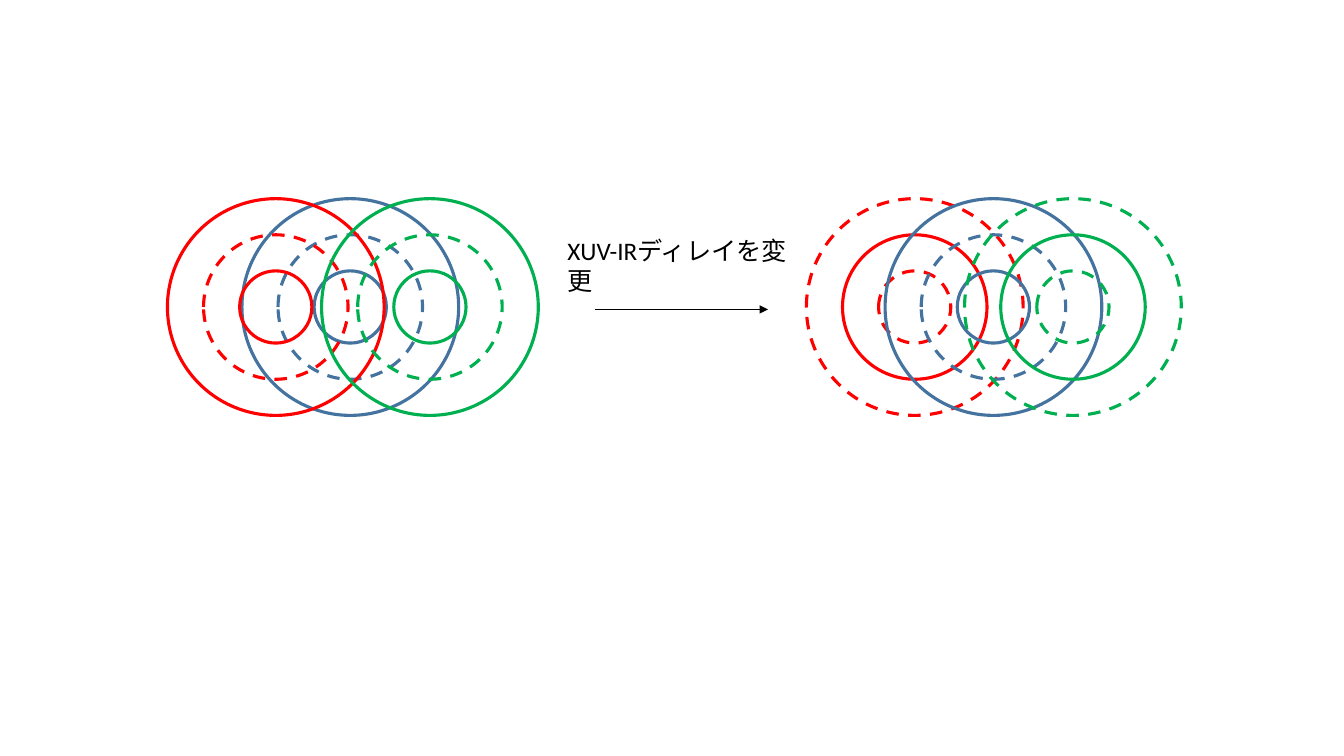
from pptx import Presentation
from pptx.dml.color import RGBColor
from pptx.enum.dml import MSO_LINE_DASH_STYLE as Dash
from pptx.enum.shapes import MSO_CONNECTOR as Link, MSO_SHAPE as Shape
from pptx.enum.text import MSO_AUTO_SIZE as Fit
from pptx.oxml.ns import qn
from pptx.util import Pt
from lxml import etree

RED = RGBColor(0xFF, 0x00, 0x00)
BLUE = RGBColor(0x43, 0x73, 0x9E)
GREEN = RGBColor(0x00, 0xB0, 0x50)
BLACK = RGBColor(0x00, 0x00, 0x00)

MID = 219.3   # height of all wave centres
STEP = 25.8   # radius gained from one ring to the next
CREST = (False, True, False)   # is each ring dashed, from the inside out
TROUGH = (True, False, True)

WAVES = [
    (250.2, BLUE, CREST),
    (197, RED, CREST),
    (307.1, GREEN, CREST),
    (653.4, RED, TROUGH),
    (709.6, BLUE, CREST),
    (766.4, GREEN, TROUGH),
]


def add_wave(slide, x, color, dashes):
    """Group evenly spaced rings around one centre."""
    group = slide.shapes.add_group_shape()
    for n, dashed in enumerate(dashes, 1):
        r = n * STEP
        ring = group.shapes.add_shape(
            Shape.OVAL, Pt(x - r), Pt(MID - r), Pt(2 * r), Pt(2 * r))
        ring.shadow.inherit = False
        ring.fill.background()
        ring.line.color.rgb = color
        ring.line.width = Pt(2.25)
        if dashed:
            ring.line.dash_style = Dash.DASH


def add_arrow(slide, x1, x2, y):
    arrow = slide.shapes.add_connector(
        Link.STRAIGHT, Pt(x1), Pt(y), Pt(x2), Pt(y))
    arrow.line.color.rgb = BLACK
    arrow.line.width = Pt(0.5)
    props = arrow.element.spPr
    etree.SubElement(props.find(qn("a:ln")), qn("a:tailEnd"), type="triangle")
    etree.SubElement(props, qn("a:effectLst"))


def add_label(slide, text, x, y, w, h):
    frame = slide.shapes.add_textbox(Pt(x), Pt(y), Pt(w), Pt(h)).text_frame
    frame.word_wrap = True
    frame.auto_size = Fit.SHAPE_TO_FIT_TEXT
    para = frame.paragraphs[0]
    para.text = text
    para.font.name = "Calibri"
    para.font.size = Pt(18)
    para.font.color.rgb = BLACK


def main():
    deck = Presentation()
    deck.slide_width, deck.slide_height = Pt(960), Pt(540)
    slide = deck.slides.add_slide(deck.slide_layouts[6])
    for x, color, dashes in WAVES:
        add_wave(slide, x, color, dashes)
    add_arrow(slide, 424.8, 548.6, 221)
    add_label(slide, "XUV-IRディレイを変更", 398.2, 164.2, 177.8, 29)
    deck.save("out.pptx")


if __name__ == "__main__":
    main()
